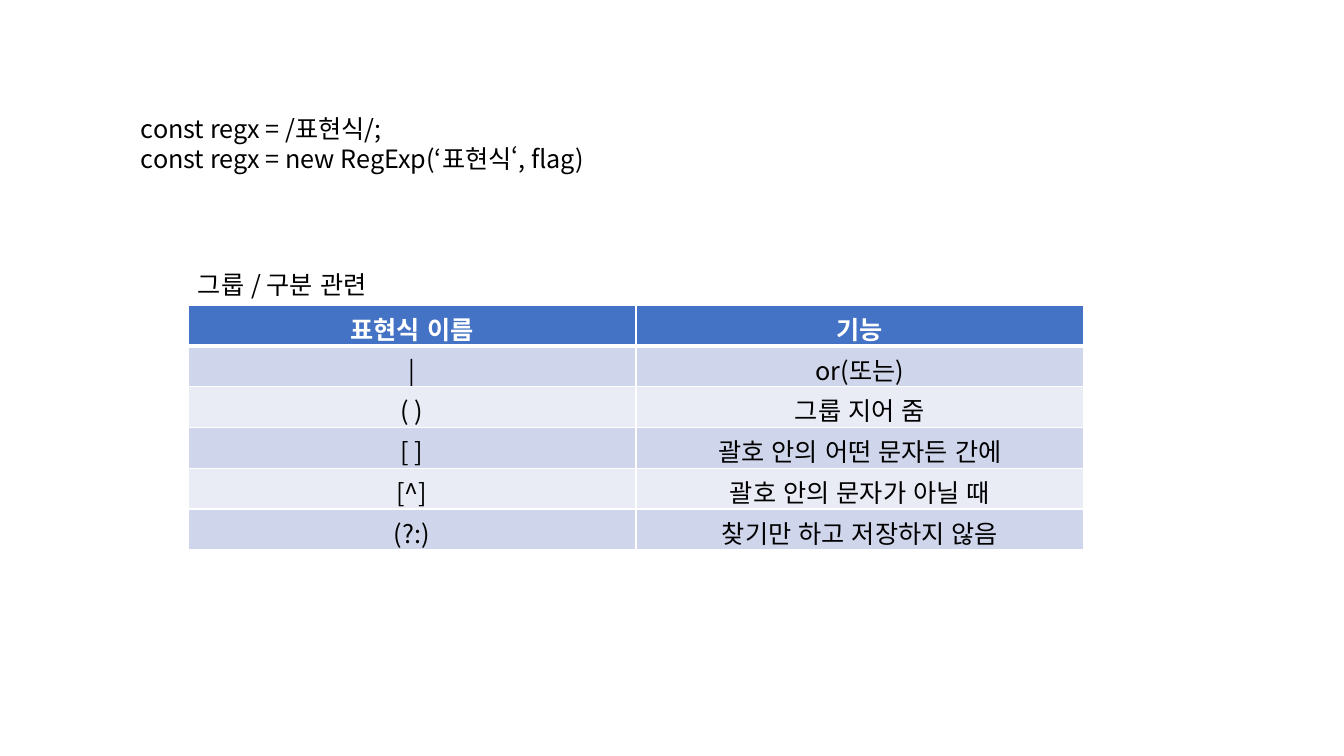
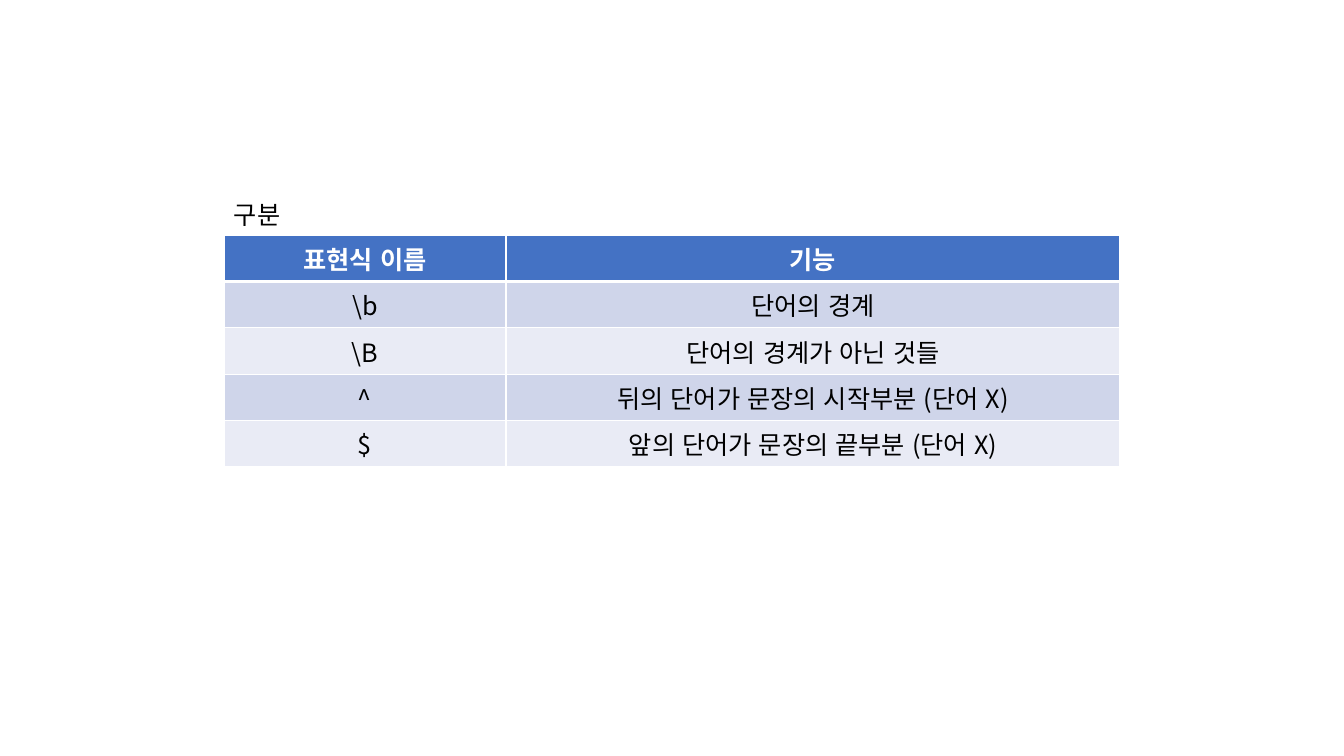
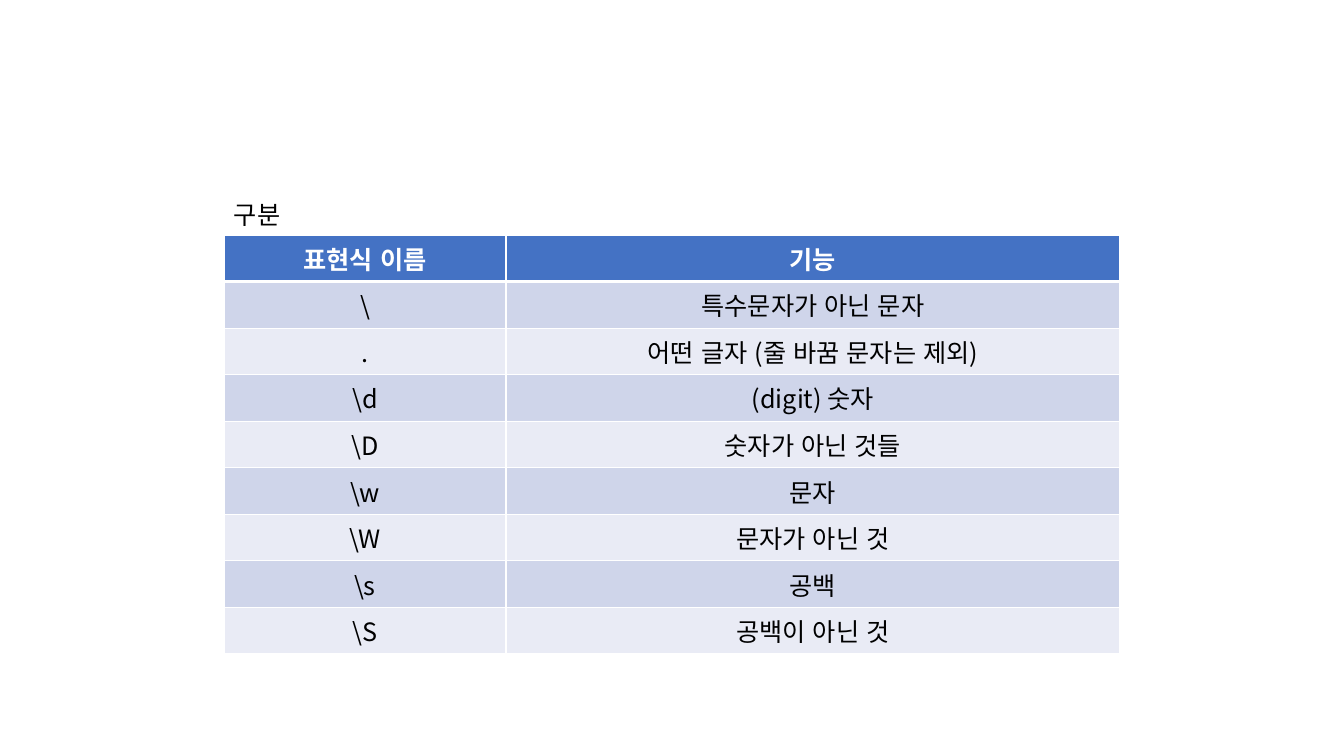
from lxml import etree
from pptx import Presentation
from pptx.dml.color import RGBColor
from pptx.enum.lang import MSO_LANGUAGE_ID
from pptx.enum.text import MSO_ANCHOR, MSO_AUTO_SIZE, PP_ALIGN
from pptx.oxml.ns import qn
from pptx.util import Pt

CENTER, MIDDLE = PP_ALIGN.CENTER, MSO_ANCHOR.MIDDLE
GROW = MSO_AUTO_SIZE.SHAPE_TO_FIT_TEXT
KOREAN = MSO_LANGUAGE_ID.KOREAN
SCALE = 914400 / 100.8
FONT = "Noto Sans CJK KR"
LABEL_HEIGHT = 40
COLORS = {
    "text": "000000",
    "white": "FFFFFF",
    "header": "4472C4",
    "odd": "CFD5EA",
    "even": "E9EBF5",
}
HEADER = ("표현식 이름", "기능")

slides = [
    {
        "code": ["const regx = /표현식/;", "const regx = new RegExp(‘표현식‘, flag)"],
        "label": "그룹 / 구분 관련",
        "label_width": 210,
        "at": (188, 305),
        "cols": (448, 448),
        "height": 245,
        "rows": [
            ("|", "or(또는)"),
            ("( )", "그룹 지어 줌"),
            ("[ ]", "괄호 안의 어떤 문자든 간에"),
            ("[^]", "괄호 안의 문자가 아닐 때"),
            ("(?:)", "찾기만 하고 저장하지 않음"),
        ],
    },
    {
        "label": "구분",
        "label_width": 72,
        "at": (224, 235),
        "cols": (282, 614),
        "height": 232,
        "rows": [
            ("\\b", "단어의 경계"),
            ("\\B", "단어의 경계가 아닌 것들"),
            ("^", "뒤의 단어가 문장의 시작부분 (단어 X)"),
            ("$", "앞의 단어가 문장의 끝부분 (단어 X)"),
        ],
    },
    {
        "label": "구분",
        "label_width": 72,
        "at": (224, 235),
        "cols": (282, 614),
        "height": 419,
        "rows": [
            ("\\", "특수문자가 아닌 문자"),
            (".", "어떤 글자 (줄 바꿈 문자는 제외)"),
            ("\\d", "(digit) 숫자"),
            ("\\D", "숫자가 아닌 것들"),
            ("\\w", "문자"),
            ("\\W", "문자가 아닌 것"),
            ("\\s", "공백"),
            ("\\S", "공백이 아닌 것"),
        ],
    },
]


def px(*lengths):
    return [round(length * SCALE) for length in lengths]


def write(tf, lines, color="text", bold=False, align=None):
    for i, line in enumerate(lines):
        p = tf.add_paragraph() if i else tf.paragraphs[0]
        p.alignment = align
        r = p.add_run()
        r.text = line
        style = {"size": Pt(18), "name": FONT, "bold": bold, "language_id": KOREAN}
        for name, value in style.items():
            setattr(r.font, name, value)
        r.font.color.rgb = RGBColor.from_string(COLORS[color])
        etree.SubElement(r.font._element, qn("a:ea"), typeface=FONT)


prs = Presentation()
prs.slide_width, prs.slide_height = px(1344, 756)

for content in slides:
    s = prs.slides.add_slide(prs.slide_layouts[6])
    left, top = content["at"]
    boxes = [(left, top - LABEL_HEIGHT - 1, content["label_width"], LABEL_HEIGHT, [content["label"]])]
    if "code" in content:
        boxes.append((131, 108, 500, 72, content["code"]))
    for *place, lines in boxes:
        tf = s.shapes.add_textbox(*px(*place)).text_frame
        tf.word_wrap = False
        tf.auto_size = GROW
        write(tf, lines)

    rows = [HEADER] + content["rows"]
    size = sum(content["cols"]), content["height"]
    table = s.shapes.add_table(len(rows), 2, *px(left, top, *size)).table
    for column, width in zip(table.columns, px(*content["cols"])):
        column.width = width
    for i, row in enumerate(rows):
        fill = "header" if i == 0 else "odd" if i % 2 else "even"
        borders = {"lnL": 1, "lnR": 1, "lnT": 3 if i == 1 else 1, "lnB": 3 if i == 0 else 1}
        for j, text in enumerate(row):
            cell = table.cell(i, j)
            cell.vertical_anchor = MIDDLE
            write(cell.text_frame, [text], "text" if i else "white", i == 0, CENTER)
            cell.fill.solid()
            cell.fill.fore_color.rgb = RGBColor.from_string(COLORS[fill])
            tcPr = cell._tc.get_or_add_tcPr()
            for position, (side, width) in enumerate(borders.items()):
                line = etree.Element(qn("a:" + side), w=str(Pt(width)))
                solid = etree.SubElement(line, qn("a:solidFill"))
                etree.SubElement(solid, qn("a:srgbClr"), val=COLORS["white"])
                tcPr.insert(position, line)

prs.save("out.pptx")
